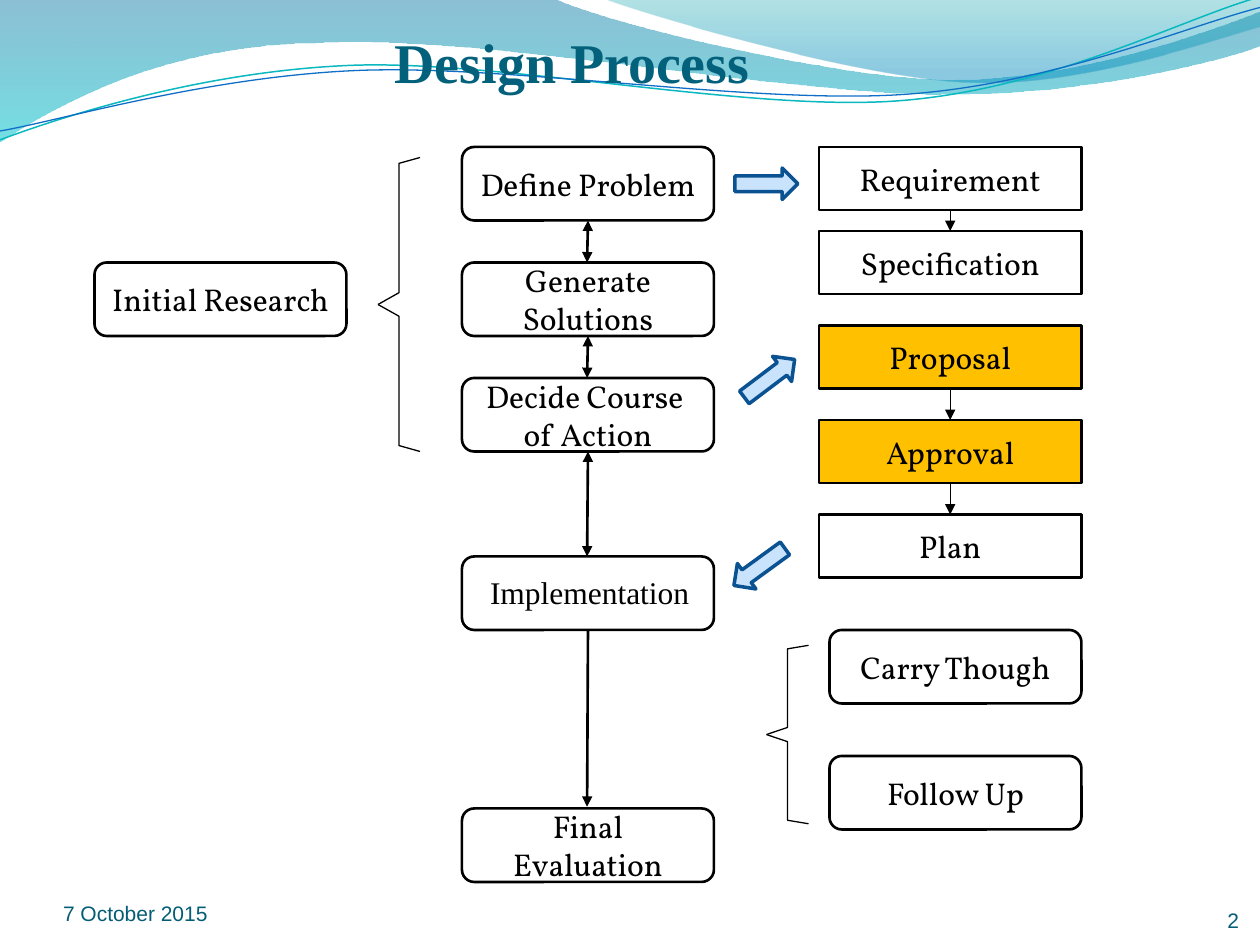
"""Build the Design Process flowchart slide."""
from math import cos, radians, sin
from lxml import etree
from pptx import Presentation
from pptx.dml.color import RGBColor
from pptx.enum.shapes import MSO_CONNECTOR, MSO_SHAPE
from pptx.enum.text import MSO_ANCHOR, MSO_AUTO_SIZE, PP_ALIGN
from pptx.oxml.ns import qn
from pptx.util import Pt

STRAIGHT = MSO_CONNECTOR.STRAIGHT
ROUNDED, RECT = MSO_SHAPE.ROUNDED_RECTANGLE, MSO_SHAPE.RECTANGLE
RIGHT_ARROW, LEFT_ARROW = MSO_SHAPE.RIGHT_ARROW, MSO_SHAPE.LEFT_ARROW
LEFT, CENTER, RIGHT = PP_ALIGN.LEFT, PP_ALIGN.CENTER, PP_ALIGN.RIGHT
TOP, MIDDLE, BOTTOM = MSO_ANCHOR.TOP, MSO_ANCHOR.MIDDLE, MSO_ANCHOR.BOTTOM
GROW = MSO_AUTO_SIZE.SHAPE_TO_FIT_TEXT
BLACK, WHITE, GOLD = "000000", "FFFFFF", "FFC000"


def paint(shape, fill, line, width):
    shape.shadow.inherit = False
    if fill:
        shape.fill.solid()
        shape.fill.fore_color.rgb = RGBColor.from_string(fill)
    else:
        shape.fill.background()
    if line:
        shape.line.color.rgb = RGBColor.from_string(line)
        shape.line.width = Pt(width)
    else:
        shape.line.fill.background()


def write(shape, text, font, size, color, align, anchor, bold=False):
    frame = shape.text_frame
    frame.text = text
    frame.vertical_anchor = anchor
    for paragraph in frame.paragraphs:
        paragraph.alignment = align
        for run in paragraph.runs:
            run.font.name = font
            run.font.size = Pt(size)
            run.font.bold = bold
            run.font.color.rgb = RGBColor.from_string(color)


prs = Presentation()
prs.slide_width, prs.slide_height = Pt(720), Pt(540)
shapes = prs.slides.add_slide(prs.slide_layouts[6]).shapes

waves = [
    ([(0, -0.7), (316.8, -0.7), (342.7, 12.2, 478.1, 45.4, 545.8, 45.4),
      (614.2, 45.4, 689.8, 18.7, 720, 6.5), (720.7, 25.9),
      (707.8, 31.7, 626.4, 54.7, 537.1, 54),
      (447.8, 54, 275, 20.2, 185, 24.5),
      (92.9, 25.2, 33.1, 59.8, -0.7, 81.4), (0, -0.7)],
     [(0, "0074A1", 45), (1, "00C6CF", 55)], None, 0, 0),
    ([(344.9, -0.7), (366.5, 7.9, 491, 44.6, 553.7, 46.8),
      (616.3, 49.7, 691.9, 23, 720, 15.1), (720, 0), (344.9, -0.7)],
     [(0, "00A1A9", 30), (0.8, "008BBF", 45)], None, 0, 0),
    ([(0, 79.9), (34.6, 67, 113.8, 41, 199.4, 37.4),
      (284.4, 33.8, 427, 64.1, 513.4, 57.6),
      (599.8, 51.1, 675.4, 10.8, 718.6, -1.4)], None, "0AB8BF", 0.85, 41.4),
    ([(0, 74.9), (33.8, 69.1, 118.1, 43.9, 203.8, 40.3),
      (290.2, 36.7, 429.8, 59.8, 516.2, 54),
      (601.9, 48.2, 677.5, 15.1, 720, 4.3)], None, "0F6FC6", 0.75, 42.5),
]
for segments, stops, line, width, middle in waves:
    tilt = 0 if stops else 2.7
    c, s = cos(radians(tilt)), sin(radians(tilt))
    corners = []
    for segment in segments:
        for x, y in zip(segment[::2], segment[1::2]):
            dx, dy = x - 359.5, y - middle
            corners.append((Pt(359.5 + dx * c - dy * s), Pt(middle + dx * s + dy * c)))
    builder = shapes.build_freeform(*corners[0])
    builder.add_line_segments(corners[1:], close=stops is not None)
    wave = builder.convert_to_shape()
    wave.rotation = -tilt
    outline = wave._element.spPr.find(".//" + qn("a:path"))
    lines = iter(outline.findall(qn("a:lnTo")))
    for segment in segments[1:]:
        first = next(lines)
        if len(segment) == 6:
            curve = etree.Element(qn("a:cubicBezTo"))
            outline.replace(first, curve)
            for part in (first, next(lines), next(lines)):
                curve.append(part[0])
                if part is not first:
                    outline.remove(part)
    paint(wave, None, line, width)
    if stops:
        wave.fill.gradient()
        wave.fill.gradient_angle = 270
        for stop, (position, color, _) in zip(wave.fill.gradient_stops, stops):
            stop.position = position
            stop.color.rgb = RGBColor.from_string(color)
        colors = wave._element.spPr.find(qn("a:gradFill")).iter(qn("a:srgbClr"))
        for color_xml, (_, _, opacity) in zip(colors, stops):
            etree.SubElement(color_xml, qn("a:alpha")).set("val", str(opacity * 1000))

captions = [
    (138, 6, 378, 48, "Design Process", "Times New Roman", 32, "04617B", CENTER, BOTTOM, True),
    (36, 500.2, 168, 28.8, "7 October 2015", "Arial", 12, "045D75", LEFT, BOTTOM),
    (648, 504, 60, 28.8, "2", "Arial", 12, "045D75", RIGHT, BOTTOM),
]
for x, y, width, height, *style in captions:
    caption = shapes.add_textbox(Pt(x), Pt(y), Pt(width), Pt(height))
    frame = caption.text_frame
    frame.word_wrap = True
    frame.margin_left = frame.margin_right = frame.margin_top = frame.margin_bottom = 0
    write(caption, *style)

links = [
    (336, 335.5, 126, 150, 1.5, True), (336, 335.5, 192, 216, 1.5, True),
    (336, 335.5, 258, 318, 1.5, True), (336, 335.5, 360, 461, 1.5, False),
    (543, 543, 120, 132, 0.75, False), (543, 543, 222, 240, 0.75, False),
    (543, 543, 276, 294, 0.75, False),
]
for x, end_x, start, end, width, two_way in links:
    link = shapes.add_connector(STRAIGHT, Pt(x), Pt(start), Pt(end_x), Pt(end))
    link.line.color.rgb = RGBColor.from_string(BLACK)
    link.line.width = Pt(width)
    stroke = link.line._get_or_add_ln()
    for tag in ("a:headEnd", "a:tailEnd") if two_way else ("a:tailEnd",):
        etree.SubElement(stroke, qn(tag)).set("type", "triangle")
    etree.SubElement(link._element.spPr, qn("a:effectLst"))

steps = [
    (264, 84, "Define Problem"), (264, 150, "Generate\nSolutions"),
    (264, 216, "Decide Course \nof Action"), (264, 318, ""),
    (264, 462, "Final\nEvaluation"), (54, 150, "Initial Research"),
    (474, 360, "Carry Though"), (474, 432, "Follow Up"),
]
documents = [
    (84, "Requirement", WHITE), (132, "Specification", WHITE),
    (186, "Proposal", GOLD), (240, "Approval", GOLD), (294, "Plan", WHITE),
]
boxes = [(ROUNDED, x, y, 144, 42, label, WHITE) for x, y, label in steps]
boxes += [(RECT, 468, y, 150, 36, label, fill) for y, label, fill in documents]
for kind, x, y, width, height, label, fill in boxes:
    box = shapes.add_shape(kind, Pt(x), Pt(y), Pt(width), Pt(height))
    paint(box, fill, BLACK, 1.5)
    if label:
        write(box, label, "Vollkorn", 18, BLACK, CENTER, MIDDLE)

implementation = shapes.add_textbox(Pt(272), Pt(324), Pt(130), Pt(29))
implementation.text_frame.word_wrap = False
implementation.text_frame.auto_size = GROW
write(implementation, "Implementation", "Times New Roman", 18, BLACK, CENTER, TOP)

for x, tip, reach in [(216, 174, 84), (438, 419.75, 51)]:
    for half in (-reach, reach):
        builder = shapes.build_freeform(Pt(x + 24), Pt(tip + half))
        builder.add_line_segments(
            [(Pt(x + 12), Pt(tip + half * 0.96)),
             (Pt(x + 12), Pt(tip + half * 0.08)), (Pt(x), Pt(tip))],
            close=False)
        paint(builder.convert_to_shape(), None, BLACK, 0.75)

for kind, x, y, angle in [(RIGHT_ARROW, 420, 96, 0), (LEFT_ARROW, 416, 315, 324),
                          (RIGHT_ARROW, 421.75, 207.25, 323)]:
    arrow = shapes.add_shape(kind, Pt(x), Pt(y), Pt(36), Pt(18))
    arrow.rotation = angle
    paint(arrow, "C8E3FB", "0B5292", 2)

prs.save("out.pptx")
